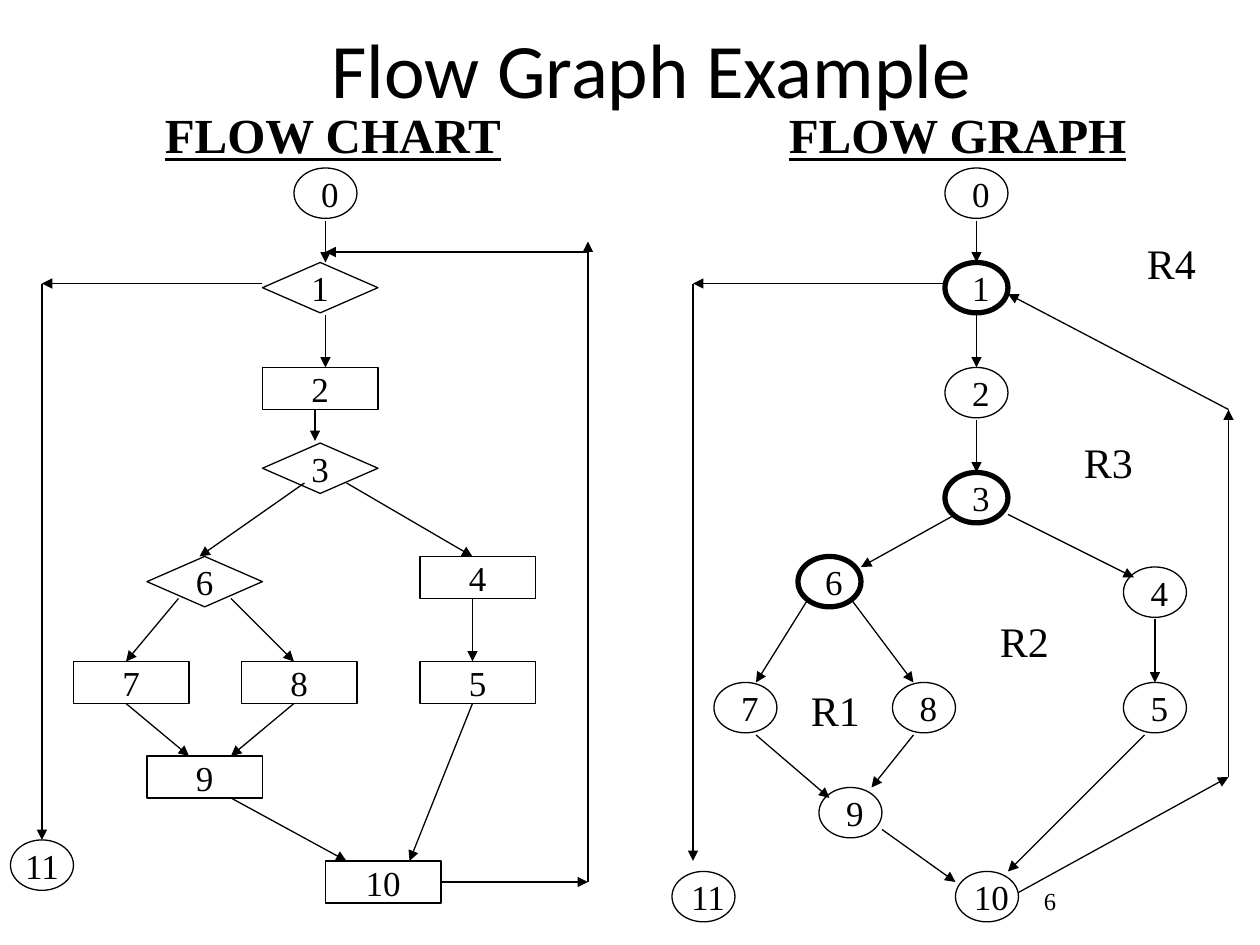
"""Build a slide that sets a flow chart beside its flow graph."""
from itertools import pairwise

from lxml.etree import SubElement
from pptx import Presentation
from pptx.dml.color import RGBColor
from pptx.enum.shapes import MSO_CONNECTOR, MSO_SHAPE
from pptx.enum.text import MSO_ANCHOR, MSO_AUTO_SIZE, PP_ALIGN
from pptx.oxml.ns import qn
from pptx.util import Inches, Pt

COLORS = {"ink": "000000", "paper": "FFFFFF"}
TITLE_FONT, BODY_FONT = "Calibri", "Times New Roman"
CELLS_PER_INCH = 12
THIN, THICK = 0.75, 3
NODE_SIZES = {
    MSO_SHAPE.OVAL: (6, 4.8),
    MSO_SHAPE.FLOWCHART_DECISION: (11, 4.8),
    MSO_SHAPE.RECTANGLE: (11, 4),
}

CHART_CIRCLES = {"11": (1, 80)}
CHART_START = {"0": (28, 16)}
CHART_DECISIONS = {"1": (25, 25), "3": (25, 42.2), "6": (14, 53)}
CHART_STEPS = {
    "2": (25, 35), "4": (40, 53), "5": (40, 63), "7": (7, 63),
    "8": (23, 63), "9": (14, 72), "10": (31, 82),
}
CHART_ARROWS = [
    [(31, 21), (31, 25)], [(31, 30), (31, 35)], [(30, 39), (30, 42)],
    [(29, 46), (19, 53)], [(33, 46), (45, 53)], [(45, 57), (45, 63)],
    [(17, 57), (12, 63)], [(22, 57), (28, 63)], [(12, 67), (18, 72)],
    [(28, 67), (22, 72)], [(22, 76), (33, 82)], [(45, 67), (39, 82)],
    [(25, 27), (4, 27), (4, 80)], [(42, 84), (56, 84), (56, 23)],
    [(56, 24), (31, 24)],
]

GRAPH_PREDICATES = {"1": (90, 25), "3": (90, 45), "6": (76, 53)}
GRAPH_NODES = {
    "0": (90, 16), "2": (90, 35), "4": (107, 54), "7": (68, 65), "8": (85, 65),
    "5": (107, 65), "9": (78, 75), "10": (91, 83), "11": (64, 83),
}
GRAPH_ARROWS = [
    [(93, 21), (93, 25)], [(93, 30), (93, 35)], [(93, 40), (93, 45)],
    [(91, 49), (82, 54)], [(96, 49), (108, 55)], [(77, 57), (72, 65)],
    [(81, 57), (87, 65)], [(72, 70), (79, 76)], [(87, 70), (83, 75)],
    [(84, 79), (91, 84)], [(109, 70), (96, 83)], [(110, 59), (110, 65)],
    [(90, 27), (66, 27), (66, 82)],
    [(97, 85), (117, 74), (117, 39), (96, 28)],
]
REGIONS = {"R1": (76, 64.6), "R2": (94, 58), "R3": (102, 41), "R4": (108, 22)}
HEADINGS = {"FLOW CHART": (14.4, 9.4), "FLOW GRAPH": (73.9, 9.4)}


def cells(count):
    """Convert grid cells to a length."""
    return Inches(count / CELLS_PER_INCH)


def color(name):
    """Look up a colour by name."""
    return RGBColor.from_string(COLORS[name])


def write(shape, text, size, font=BODY_FONT, anchor=MSO_ANCHOR.MIDDLE, strong=False):
    """Put one centred, formatted paragraph in a shape."""
    frame = shape.text_frame
    frame.text = text
    frame.vertical_anchor = anchor
    paragraph = frame.paragraphs[0]
    paragraph.alignment = PP_ALIGN.CENTER
    paragraph.font.name = font
    paragraph.font.size = Pt(size)
    paragraph.font.color.rgb = color("ink")
    if strong:
        paragraph.font.bold = True
        paragraph.font.underline = True


def add_title(slide, text):
    """Place the slide title."""
    title = slide.shapes.title
    title.left, title.top = Inches(0.92), 0
    title.width, title.height = Inches(8.5), Inches(1.08)
    write(title, text, 44, TITLE_FONT)


def add_labels(slide, labels, width, height, size, strong=False):
    """Add free text labels at grid positions."""
    for text, (column, row) in labels.items():
        box = slide.shapes.add_textbox(*map(cells, (column, row, width, height)))
        write(box, text, size, anchor=MSO_ANCHOR.TOP, strong=strong)
        box.text_frame.word_wrap = False
        box.text_frame.auto_size = MSO_AUTO_SIZE.SHAPE_TO_FIT_TEXT


def add_page_number(slide, number):
    """Add the page number."""
    box = slide.shapes.add_textbox(*map(cells, (86, 83.4, 28, 4.8)))
    box.text_frame.word_wrap = True
    write(box, number, 14)


def add_nodes(slide, kind, nodes, weight=THIN, left_inset=0.1):
    """Add numbered outline shapes of one kind."""
    for text, place in nodes.items():
        node = slide.shapes.add_shape(kind, *map(cells, place + NODE_SIZES[kind]))
        node.shadow.inherit = False
        node.fill.background()
        node.line.color.rgb = color("ink")
        node.line.width = Pt(weight)
        write(node, text, 20)
        node.text_frame.word_wrap = False
        node.text_frame.margin_left = Inches(left_inset)


def add_arrows(slide, routes):
    """Add an arrow along every leg of each route."""
    for route in routes:
        for start, end in pairwise(route):
            arrow = slide.shapes.add_connector(
                MSO_CONNECTOR.STRAIGHT, *map(cells, start + end))
            arrow.line.color.rgb = color("ink")
            arrow.line.width = Pt(THIN)
            SubElement(arrow.line._get_or_add_ln(), qn("a:tailEnd"), type="triangle")
            SubElement(arrow._element.spPr, qn("a:effectLst"))


def main():
    """Build and save the slide."""
    presentation = Presentation()
    presentation.slide_width, presentation.slide_height = Inches(10), Inches(7.5)
    slide = presentation.slides.add_slide(presentation.slide_layouts[5])
    slide.background.fill.solid()
    slide.background.fill.fore_color.rgb = color("paper")

    add_title(slide, "Flow Graph Example")
    add_page_number(slide, "6")

    add_nodes(slide, MSO_SHAPE.FLOWCHART_DECISION, CHART_DECISIONS)
    add_nodes(slide, MSO_SHAPE.RECTANGLE, CHART_STEPS)
    add_nodes(slide, MSO_SHAPE.OVAL, CHART_START, left_inset=0.17)
    add_nodes(slide, MSO_SHAPE.OVAL, CHART_CIRCLES)
    add_arrows(slide, CHART_ARROWS)

    add_nodes(slide, MSO_SHAPE.OVAL, GRAPH_PREDICATES, THICK, left_inset=0.17)
    add_nodes(slide, MSO_SHAPE.OVAL, GRAPH_NODES, left_inset=0.17)
    add_arrows(slide, GRAPH_ARROWS)

    add_labels(slide, REGIONS, 7.1, 6, 24)
    add_labels(slide, HEADINGS, 34.6, 6.8, 28, strong=True)
    presentation.save("out.pptx")


if __name__ == "__main__":
    main()
